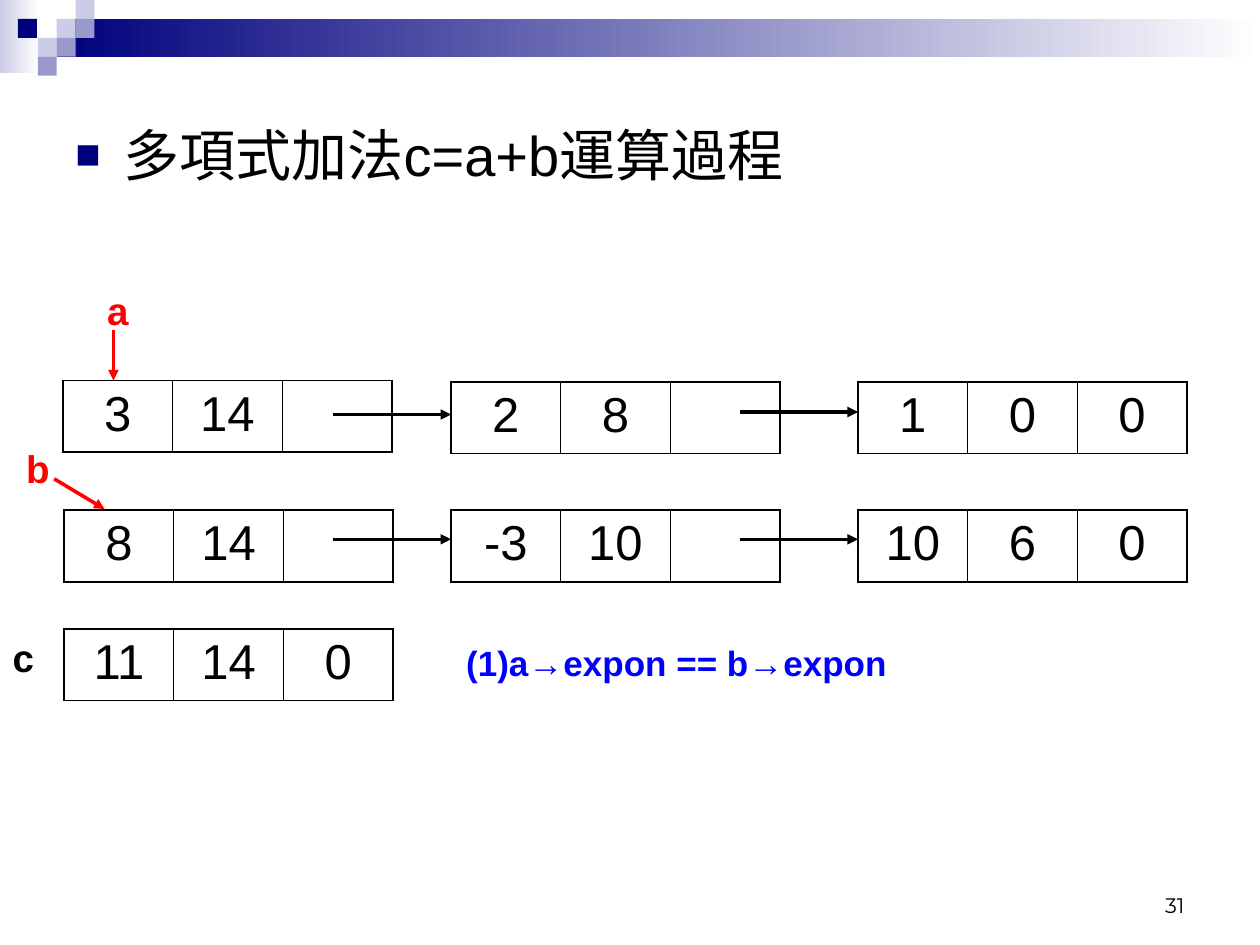
from dataclasses import dataclass

from lxml.etree import SubElement
from pptx import Presentation
from pptx.dml.color import RGBColor
from pptx.enum.shapes import MSO_CONNECTOR, MSO_SHAPE
from pptx.enum.text import MSO_ANCHOR, PP_ALIGN
from pptx.oxml import parse_xml
from pptx.oxml.ns import nsdecls, qn
from pptx.util import Inches, Pt


@dataclass(frozen=True)
class Theme:
    navy: str = "00007D"
    lilac: str = "9999CC"
    pale: str = "CCCCE6"
    white: str = "FFFFFF"
    black: str = "000000"
    red: str = "FF0000"
    blue: str = "0000FF"
    font: str = "Arial"
    number_font: str = "Montserrat"
    heading: int = 32
    cell: int = 28
    label: int = 22
    note: int = 20
    page_number: int = 12
    arrow: float = 2
    outer_border: float = 1.08
    inner_border: float = 0.45


THEME = Theme()
NODE_WIDTH, NODE_HEIGHT = 2.61, 0.57


def style_paragraph(paragraph, size, color, bold=False, font=THEME.font, align=PP_ALIGN.CENTER):
    paragraph.alignment = align
    for run in paragraph.runs:
        run.font.name = font
        run.font.size = Pt(size)
        run.font.bold = bold
        run.font.color.rgb = RGBColor.from_string(color)


def add_text(slide, text, box, size, color, wrap=False, anchor=MSO_ANCHOR.TOP, **style):
    frame = slide.shapes.add_textbox(*map(Inches, box)).text_frame
    frame.word_wrap = wrap
    frame.vertical_anchor = anchor
    frame.text = text
    style_paragraph(frame.paragraphs[0], size, color, **style)
    return frame.paragraphs[0]


def add_block(slide, box, color, fade=False):
    shape = slide.shapes.add_shape(MSO_SHAPE.RECTANGLE, *map(Inches, box))
    shape.shadow.inherit = False
    shape.line.fill.background()
    if fade:
        shape.fill.gradient()
        shape.fill.gradient_angle = 0
        for stop, stop_color in zip(shape.fill.gradient_stops, (color, THEME.white)):
            stop.color.rgb = RGBColor.from_string(stop_color)
    else:
        shape.fill.solid()
        shape.fill.fore_color.rgb = RGBColor.from_string(color)


def add_arrow(slide, start, end, color=THEME.black):
    arrow = slide.shapes.add_connector(MSO_CONNECTOR.STRAIGHT, *map(Inches, (*start, *end)))
    arrow.line.width = Pt(THEME.arrow)
    arrow.line.color.rgb = RGBColor.from_string(color)
    SubElement(arrow.line._get_or_add_ln(), qn("a:tailEnd"), type="triangle")
    SubElement(arrow._element.spPr, qn("a:effectLst"))


def set_borders(cell, widths):
    """Draw left, right, top and bottom borders, which come before the fill."""
    properties = cell._tc.get_or_add_tcPr()
    for index, (side, width) in enumerate(zip("LRTB", widths)):
        properties.insert(index, parse_xml(
            f'<a:ln{side} {nsdecls("a")} w="{Pt(width)}"><a:solidFill>'
            f'<a:srgbClr val="{THEME.black}"/></a:solidFill></a:ln{side}>'))


def add_node(slide, left, top, values):
    """One list node: coefficient, exponent and link."""
    box = map(Inches, (left, top, NODE_WIDTH, NODE_HEIGHT))
    table = slide.shapes.add_table(1, len(values), *box).table
    table.first_row = table.horz_banding = False
    last = len(values) - 1
    outer, inner = THEME.outer_border, THEME.inner_border
    for column, value in enumerate(values):
        cell = table.cell(0, column)
        cell.fill.background()
        cell.text = value
        style_paragraph(cell.text_frame.paragraphs[0], THEME.cell, THEME.black)
        set_borders(cell, (outer if column == 0 else inner,
                           outer if column == last else inner, outer, outer))


def add_banner(slide, left, top, width):
    """Fading bar with its mosaic of small squares."""
    step = 0.15
    add_block(slide, (left, top, 0.31, 0.58), THEME.pale, fade=True)
    add_block(slide, (left + 3 * step, top + step, width - 3 * step, 2 * step), THEME.navy, fade=True)
    squares = ((3, 1, THEME.pale), (4, 0, THEME.pale), (4, 1, THEME.lilac),
               (2, 2, THEME.pale), (0.95, 1, THEME.navy), (3, 2, THEME.lilac),
               (2, 3, THEME.lilac))
    for column, row, color in squares:
        add_block(slide, (left + column * step, top + row * step, step, step), color)


def add_heading(slide, box):
    paragraph = add_text(slide, "多項式加法c=a+b運算過程", box, THEME.heading, THEME.black,
                         wrap=True, align=PP_ALIGN.LEFT)
    properties = paragraph._p.get_or_add_pPr()
    properties.set("marL", str(Inches(0.38)))
    properties.set("indent", str(-Inches(0.38)))
    color = SubElement(properties, qn("a:buClr"))
    SubElement(color, qn("a:srgbClr"), val=THEME.navy)
    SubElement(properties, qn("a:buSzPct"), val="75000")
    SubElement(properties, qn("a:buFont"), typeface=THEME.font)
    SubElement(properties, qn("a:buChar"), char="■")


def add_linked_list(slide, lefts, top, nodes, link_tops=()):
    """A row of nodes, each link starting inside the node before its target."""
    for left, values in zip(lefts, nodes):
        add_node(slide, left, top if left == lefts[0] else round(top + lefts_shift(top), 2), values)
    for target, link_top in zip(lefts[1:], link_tops):
        add_arrow(slide, (target - 0.94, link_top), (target, link_top))


def lefts_shift(top):
    """The later nodes of the first list sit slightly lower than its head."""
    return 0.01 if top < 3.5 else 0


def add_lists(slide, left, top):
    """Polynomials a, b and the result c, with their pointers."""
    second, third = left + 3.08, left + 6.31
    add_linked_list(slide, (left, second, third), top,
                    (("3", "14", ""), ("2", "8", ""), ("1", "0", "0")),
                    (top + 0.27, top + 0.25))
    add_linked_list(slide, (left + 0.01, second, third), top + 1.03,
                    (("8", "14", ""), ("-3", "10", ""), ("10", "6", "0")),
                    (top + 1.26, top + 1.26))
    add_linked_list(slide, (left + 0.01,), top + 1.97, (("11", "14", "0"),))

    # Pointer names and arrows
    labels = (("a", 0.25, -0.79, THEME.red), ("b", -0.39, 0.46, THEME.red),
              ("c", -0.5, 1.96, THEME.black))
    for name, across, down, color in labels:
        add_text(slide, name, (left + across, top + down, 0.37, 0.47),
                 THEME.label, color, bold=True)
    add_arrow(slide, (left + 0.4, top - 0.4), (left + 0.4, top), THEME.red)
    add_arrow(slide, (left - 0.07, top + 0.78), (left + 0.33, top + 1.02), THEME.red)

    # Comparison step
    add_text(slide, "(1)a→expon == b→expon", (left + 3.1, top + 2.02, 3.54, 0.44),
             THEME.note, THEME.blue, bold=True)


def main():
    presentation = Presentation()
    presentation.slide_width, presentation.slide_height = Inches(10), Inches(7.5)
    slide = presentation.slides.add_slide(presentation.slide_layouts[6])
    add_banner(slide, 0, 0, 10)
    add_text(slide, "31", (7.17, 6.83, 2.33, 0.5), THEME.page_number, THEME.black, wrap=True,
             anchor=MSO_ANCHOR.BOTTOM, font=THEME.number_font, align=PP_ALIGN.RIGHT)
    add_lists(slide, 0.5, 3.02)
    add_heading(slide, (0.5, 0.91, 9, 5.5))
    presentation.save("out.pptx")


if __name__ == "__main__":
    main()
